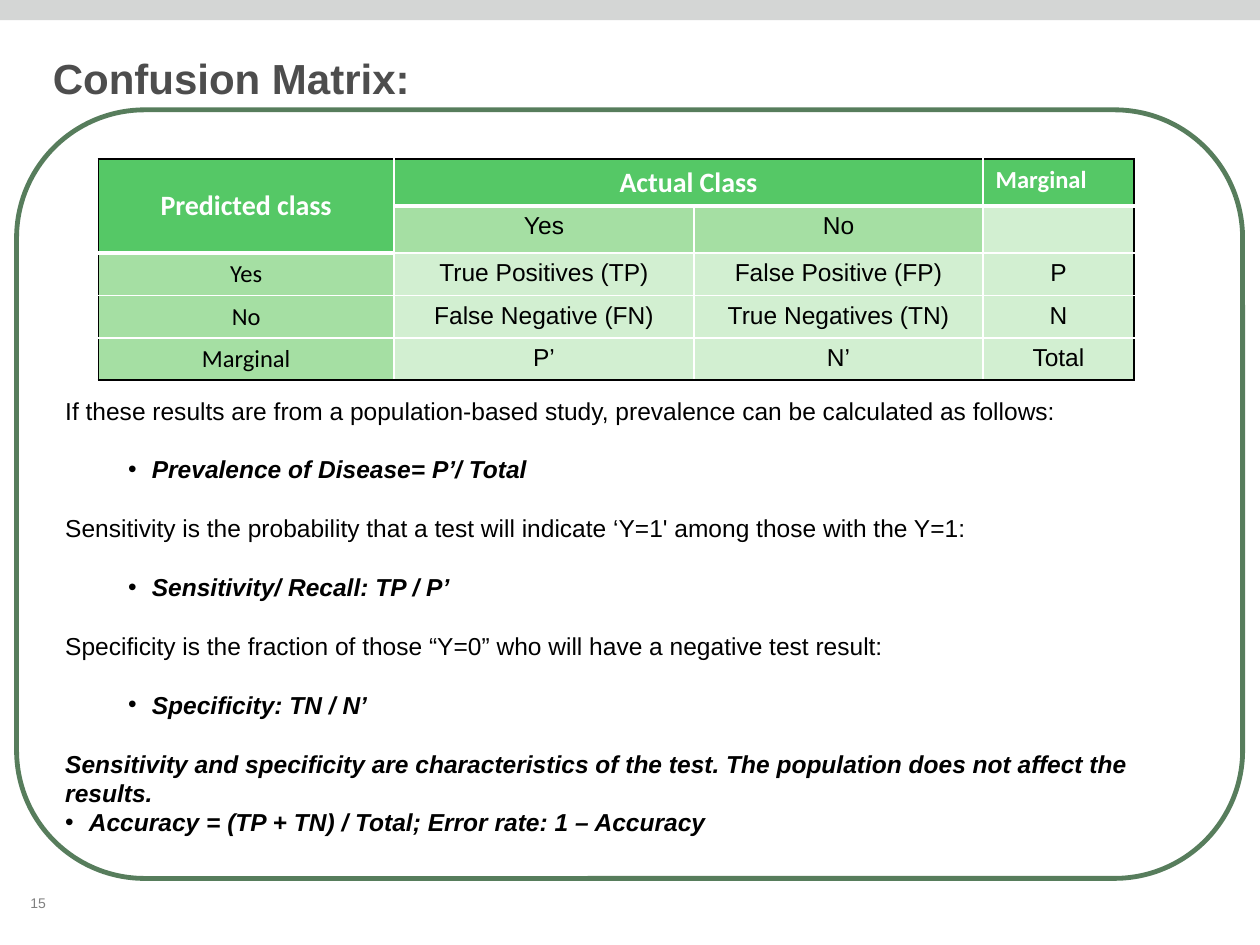
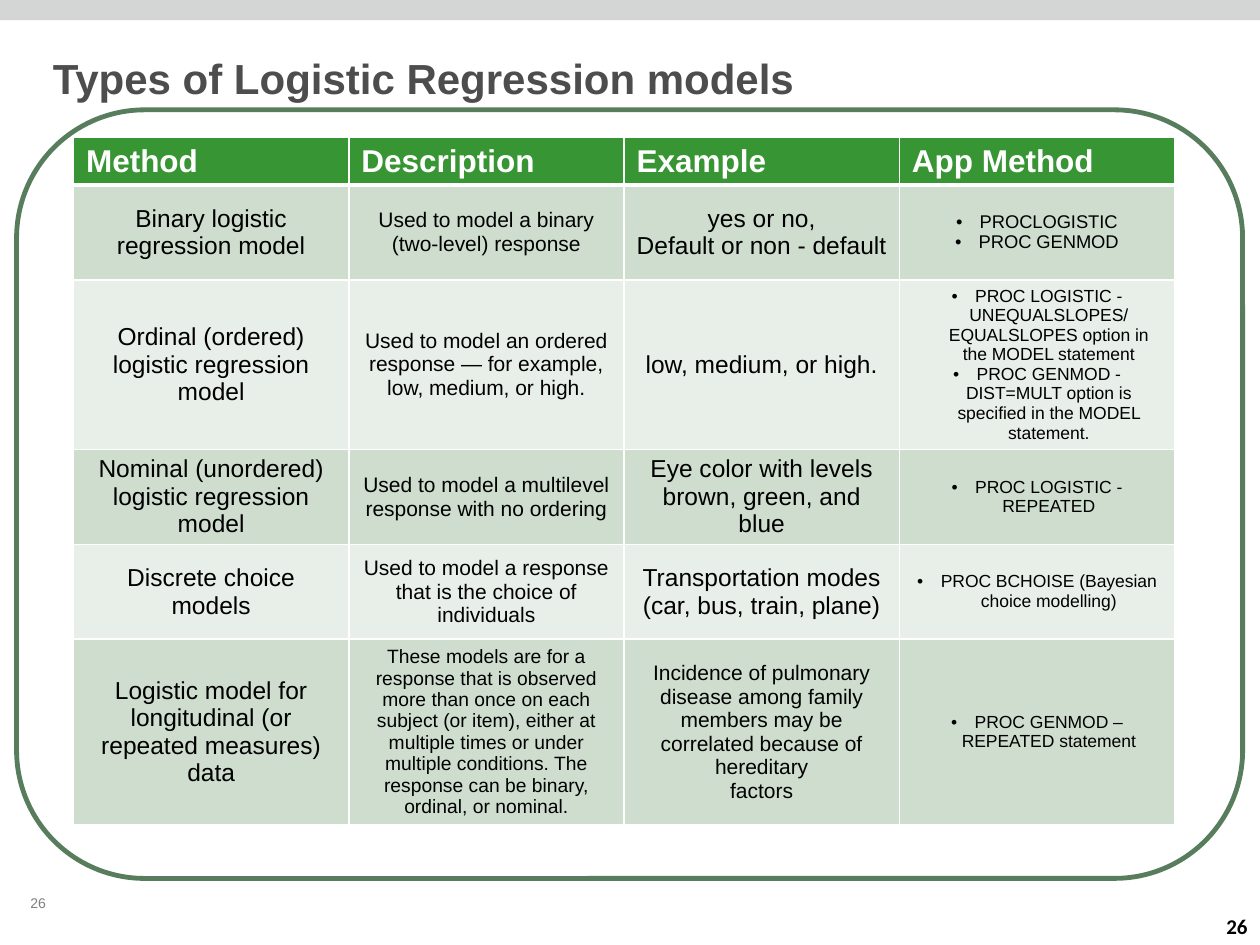
from dataclasses import dataclass, replace

from lxml import etree
from pptx import Presentation
from pptx.dml.color import RGBColor
from pptx.enum.shapes import MSO_SHAPE
from pptx.enum.text import MSO_ANCHOR, PP_ALIGN
from pptx.oxml.ns import qn
from pptx.util import Pt

RECT, ROUND = MSO_SHAPE.RECTANGLE, MSO_SHAPE.ROUNDED_RECTANGLE
TOP, MIDDLE, BOTTOM = MSO_ANCHOR.TOP, MSO_ANCHOR.MIDDLE, MSO_ANCHOR.BOTTOM
LEFT, CENTER, RIGHT = PP_ALIGN.LEFT, PP_ALIGN.CENTER, PP_ALIGN.RIGHT

INK = {
    "white": "FFFFFF", "black": "000000", "title": "4D4D4D", "page": "808080",
    "band": "D4D6D5", "frame": "194D20",
    "lime": "55C866", "mint": "A5DFA3", "pale": "D2EFD1",
    "leaf": "379533", "sage": "CEDDCE", "mist": "E8EFE8",
}


@dataclass(frozen=True)
class Box:
    left: float
    top: float
    width: float
    height: float

    def args(self) -> tuple:
        return Pt(self.left), Pt(self.top), Pt(self.width), Pt(self.height)


@dataclass(frozen=True)
class Para:
    text: str
    size: float = 14
    font: str = "Arial"
    ink: str = "black"
    bold: bool = False
    slant: bool = False
    align: int = LEFT
    dot: bool = False
    indent: float = 0
    before: float = 0


@dataclass(frozen=True)
class Cell:
    paras: tuple
    fill: str
    anchor: int = MIDDLE


@dataclass(frozen=True)
class Grid:
    box: Box
    cols: tuple
    rows: tuple
    cells: list
    heavy: set
    rim: str
    spans: tuple = ()


BAND = Box(0, 0, 720, 11.5)
FRAME = Box(9.5, 62.8, 700.6, 439.2)
TITLE = Box(23, 26.6, 671, 36)
PAGE = Box(10.3, 507.6, 26, 17.3)
CORNER = Box(570, 509.8, 150, 30.2)
NOTES = Box(30.2, 222.5, 639.4, 262)
HANG = 13.5
GAP = 16.8


def color(name: str) -> RGBColor:
    return RGBColor.from_string(INK[name])


def write(frame, paras: tuple, anchor: int = TOP) -> None:
    frame.word_wrap = True
    frame.vertical_anchor = anchor
    for i, item in enumerate(paras):
        para = frame.paragraphs[0] if i == 0 else frame.add_paragraph()
        para.text = item.text
        para.alignment = item.align
        para.space_before = Pt(item.before)
        if item.dot:
            props = para._p.get_or_add_pPr()
            props.set("marL", str(Pt(item.indent + HANG)))
            props.set("indent", str(-Pt(HANG)))
            etree.SubElement(props, qn("a:buFont"), typeface="Arial")
            etree.SubElement(props, qn("a:buChar"), char="•")
        font = para.font
        font.name, font.size = item.font, Pt(item.size)
        font.bold, font.italic = item.bold, item.slant
        font.color.rgb = color(item.ink)


def add_text(slide, box: Box, paras: tuple, anchor: int = TOP) -> None:
    write(slide.shapes.add_textbox(*box.args()).text_frame, paras, anchor)


def add_panel(slide, kind: int, box: Box, fill: str):
    shape = slide.shapes.add_shape(kind, *box.args())
    shape.shadow.inherit = False
    shape.fill.solid()
    shape.fill.fore_color.rgb = color(fill)
    shape.line.fill.background()
    return shape


def add_slide(deck, title: str, page: str):
    slide = deck.slides.add_slide(deck.slide_layouts[5])
    add_panel(slide, RECT, BAND, "band")
    frame = add_panel(slide, ROUND, FRAME, "white")
    frame.line.color.rgb = color("frame")
    frame.line.width = Pt(2.75)
    tint = frame.line._ln.find(".//" + qn("a:srgbClr"))
    etree.SubElement(tint, qn("a:alpha"), val="73000")
    head = slide.shapes.title
    head.left, head.top, head.width, head.height = TITLE.args()
    write(head.text_frame, (Para(title, 24, ink="title", bold=True),), BOTTOM)
    tree = slide.shapes._spTree
    tree.remove(head._element)
    tree.append(head._element)
    add_text(slide, PAGE, (Para(page, 8, ink="page"),), MIDDLE)
    return slide


def add_edge(props, spot: int, tag: str, ink: str, width: float) -> None:
    line = etree.Element(qn("a:" + tag), w=str(Pt(width)))
    fill = etree.SubElement(line, qn("a:solidFill"))
    etree.SubElement(fill, qn("a:srgbClr"), val=INK[ink])
    props.insert(spot, line)


def add_grid(slide, grid: Grid) -> None:
    high, wide = len(grid.rows), len(grid.cols)
    table = slide.shapes.add_table(high, wide, *grid.box.args()).table
    for col, width in zip(table.columns, grid.cols):
        col.width = Pt(width)
    for row, height in zip(table.rows, grid.rows):
        row.height = Pt(height)
    for r, line in enumerate(grid.cells):
        for c, item in enumerate(line):
            cell = table.cell(r, c)
            cell.fill.solid()
            cell.fill.fore_color.rgb = color(item.fill)
            write(cell.text_frame, item.paras)
            cell.vertical_anchor = item.anchor
            cell.margin_top = Pt(3.6 if item.anchor == TOP else 0)
            cell.margin_bottom = Pt(0)
            edges = (
                ("lnL", c == 0, 1),
                ("lnR", c == wide - 1, 1),
                ("lnT", r == 0, 3 if (r - 1, c) in grid.heavy else 1),
                ("lnB", r == high - 1, 3 if (r, c) in grid.heavy else 1),
            )
            props = cell._tc.get_or_add_tcPr()
            for spot, (tag, outer, width) in enumerate(edges):
                add_edge(props, spot, tag, grid.rim if outer else "white", width)
    for first, last in grid.spans:
        table.cell(*first).merge(table.cell(*last))


def matrix_cell(r: int, c: int, text: str) -> Cell:
    para = Para(text, align=CENTER)
    if r == 0:
        last = c == 3
        para = replace(para, size=14 if last else 16, font="Calibri", ink="white",
                       bold=True, align=LEFT if last else CENTER)
        return Cell((para,), "lime", MIDDLE if c == 0 else TOP)
    if c == 0:
        para = replace(para, font="Calibri")
    shade = "mint" if c == 0 or (r == 1 and c < 3) else "pale"
    return Cell((para,), shade, TOP)


def add_matrix(deck) -> None:
    slide = add_slide(deck, "Confusion Matrix:", "15")
    words = (
        ("Predicted class", "Actual Class", "", "Marginal"),
        ("", "Yes", "No", ""),
        ("Yes", "True Positives (TP)", "False Positive (FP)", "P"),
        ("No", "False Negative (FN)", "True Negatives (TN)", "N"),
        ("Marginal", "P’", "N’", "Total"),
    )
    cells = [[matrix_cell(r, c, text) for c, text in enumerate(row)]
             for r, row in enumerate(words)]
    add_grid(slide, Grid(
        Box(56.2, 90.9, 591.8, 126.4), (169, 171.4, 165.2, 86.2),
        (26.9, 26.9, 24.2, 24.2, 24.2), cells,
        {(0, c) for c in range(4)} | {(1, 0)}, "black",
        (((0, 0), (1, 0)), ((0, 1), (0, 2))),
    ))
    plain = Para("", before=GAP)
    strong = replace(plain, bold=True, slant=True)
    point = replace(strong, dot=True, indent=36)
    add_text(slide, NOTES, (
        replace(plain, before=0, text="If these results are from a population-based study, "
                "prevalence can be calculated as follows:"),
        replace(point, text="Prevalence of Disease= P’/ Total"),
        replace(plain, text="Sensitivity is the probability that a test will indicate "
                "‘Y=1' among those with the Y=1:"),
        replace(point, text="Sensitivity/ Recall: TP / P’"),
        replace(plain, text="Specificity is the fraction of those “Y=0” who will have "
                "a negative test result:"),
        replace(point, text="Specificity: TN / N’"),
        replace(strong, text="Sensitivity and specificity are characteristics of the test. "
                "The population does not affect the results."),
        replace(point, indent=0, before=0,
                text="Accuracy = (TP + TN) / Total; Error rate: 1 – Accuracy"),
    ))


def model_cell(r: int, c: int, size: float, lines: tuple) -> Cell:
    paras = tuple(Para(text, size, align=CENTER, dot=c == 3) for text in lines)
    return Cell(paras, "sage" if r % 2 else "mist")


def add_models(deck) -> None:
    slide = add_slide(deck, "Types of Logistic Regression models", "26")
    corner = Para("26", 12, "Calibri", bold=True, align=RIGHT)
    add_text(slide, CORNER, (corner,), BOTTOM)
    heads = ("Method", "Description", "Example", "App Method")
    models = (
        ((14, ("Binary logistic regression model",)),
         (12, ("Used to model a binary (two-level) response",)),
         (14, ("yes or no,", "Default or non - default")),
         (10.5, ("PROCLOGISTIC", "PROC GENMOD"))),
        ((14, ("Ordinal (ordered) logistic regression model",)),
         (12, ("Used to model an ordered response — for example, low, medium, or high.",)),
         (14, ("low, medium, or high.",)),
         (10, ("PROC LOGISTIC - UNEQUALSLOPES/ EQUALSLOPES option in the MODEL statement",
               "PROC GENMOD - DIST=MULT option is specified in the MODEL statement."))),
        ((14, ("Nominal (unordered) logistic regression model",)),
         (12, ("Used to model a multilevel response with no ordering",)),
         (14, ("Eye color with levels brown, green, and blue",)),
         (10, ("PROC LOGISTIC - REPEATED",))),
        ((14, ("Discrete choice models",)),
         (12, ("Used to model a response that is the choice of individuals",)),
         (14, ("Transportation modes (car, bus, train, plane)",)),
         (10, ("PROC BCHOISE (Bayesian choice modelling)",))),
        ((14, ("Logistic model for longitudinal (or repeated measures) data",)),
         (11, ("These models are for a response that is observed more than once on each "
               "subject (or item), either at multiple times or under multiple conditions. "
               "The response can be binary, ordinal, or nominal.",)),
         (12, ("Incidence of pulmonary disease among family",
               "members may be correlated because of hereditary", "factors")),
         (10, ("PROC GENMOD – REPEATED statement",))),
    )
    cells = [[Cell((Para(text, 18, ink="white", bold=True),), "leaf", TOP) for text in heads]]
    cells += [[model_cell(r, c, *item) for c, item in enumerate(row)]
              for r, row in enumerate(models, 1)]
    add_grid(slide, Grid(
        Box(42, 78.5, 629.2, 392.8), (157.3,) * 4,
        (27.2, 54.2, 97, 54.2, 54.2, 106), cells,
        {(0, c) for c in range(4)}, "white",
    ))


def main() -> None:
    deck = Presentation()
    deck.slide_width, deck.slide_height = Pt(720), Pt(540)
    add_matrix(deck)
    add_models(deck)
    deck.save("out.pptx")


if __name__ == "__main__":
    main()
